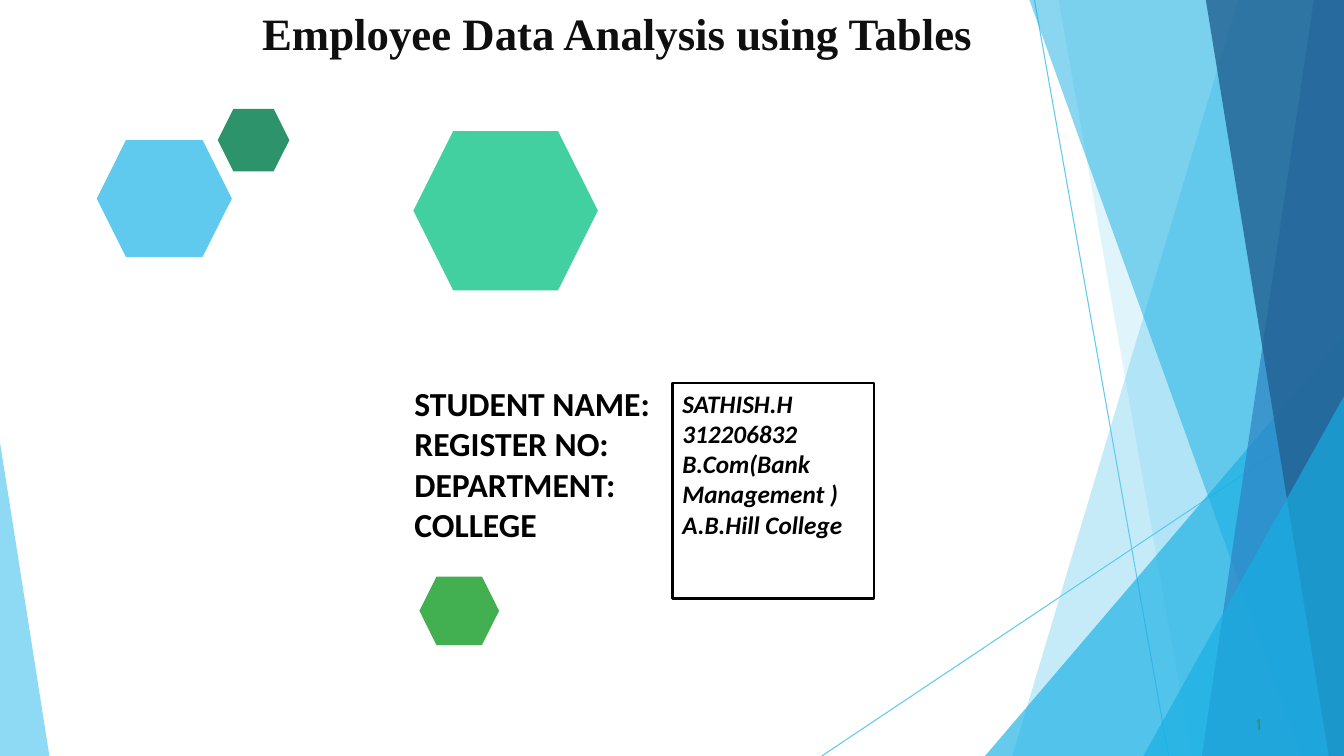
from lxml import etree
from pptx import Presentation
from pptx.dml.color import RGBColor
from pptx.enum import shapes as sh, text as tx
from pptx.oxml.ns import qn
from pptx.util import Inches, Pt

# Content
TITLE = "Employee Data Analysis using Tables"
LABELS = ["STUDENT NAME:", "REGISTER NO:", "DEPARTMENT:", "COLLEGE"]
ANSWERS = ["SATHISH.H", "312206832", "B.Com(Bank Management )", "A.B.Hill College"]
PAGE = "1"

COLORS = {
    "sky": "5FCAEE", "cyan": "17AFE3", "blue": "2D83C3", "navy": "226192",
    "teal": "2D936B", "mint": "42D0A1", "green": "42AF51",
    "ink": "0F0F0F", "black": "000000", "white": "FFFFFF",
}
W, H = 13.33, 7.5

# Thin lines: start, end
LINES = [((10.26, 0), (11.59, H)), ((W, 4.04), (8.15, H))]

# Facets: colour, opacity in percent, corners
FACETS = [
    ("sky", 36, [(W, 0), (12.28, 0), (10.04, H), (W, H)]),
    ("sky", 20, [(W, 0), (10.5, 0), (11.82, H), (W, H)]),
    ("cyan", 66, [(W, 3.33), (9.77, H), (W, H)]),
    ("cyan", 50, [(W, 0), (10.21, 0), (12.91, H), (W, H)]),
    ("blue", 70, [(W, 0), (13.03, 0), (11.92, H), (W, H)]),
    ("navy", 80, [(W, 0), (11.96, 0), (13.18, H), (W, H)]),
    ("cyan", 66, [(W, 3.93), (11.34, H), (W, H)]),
    ("sky", 70, [(0, 4.39), (0, H), (0.49, H)]),
]

# Hexagons: colour, left, top, width, height
HEXES = [
    ("sky", 0.96, 1.39, 1.34, 1.16),
    ("teal", 2.16, 1.08, 0.71, 0.62),
    ("mint", 4.1, 1.3, 1.83, 1.58),
    ("green", 4.16, 5.72, 0.79, 0.68),
]


def rgb(name):
    return RGBColor.from_string(COLORS[name])


def paint(shape, color, alpha=100):
    shape.shadow.inherit = False
    shape.fill.solid()
    shape.fill.fore_color.rgb = rgb(color)
    shape.line.fill.background()
    if alpha < 100:
        clr = shape.fill._xPr.find(qn("a:solidFill"))[0]
        etree.SubElement(clr, qn("a:alpha"), val=str(alpha * 1000))


def place(shape, *box):
    shape.left, shape.top, shape.width, shape.height = map(Inches, box)


def write(shape, rows, font, size, color, bold=False, italic=False, inset=(0.1, 0.05)):
    frame = shape.text_frame
    frame.text = "\n".join(rows)
    frame.word_wrap = True
    frame.auto_size = tx.MSO_AUTO_SIZE.NONE
    frame.vertical_anchor = tx.MSO_ANCHOR.TOP
    frame.margin_left = frame.margin_right = Inches(inset[0])
    frame.margin_top = frame.margin_bottom = Inches(inset[1])
    for para in frame.paragraphs:
        para.alignment = tx.PP_ALIGN.LEFT
        para.space_before = Pt(0)
        face = para.font
        face.name, face.size = font, Pt(size)
        face.bold, face.italic = bold, italic
        face.color.rgb = rgb(color)


deck = Presentation()
deck.slide_width, deck.slide_height = Inches(W), Inches(H)
slide = deck.slides.add_slide(deck.slide_layouts[1])
parts = slide.shapes

# Background lines and facets
for start, end in LINES:
    line = parts.add_connector(sh.MSO_CONNECTOR.STRAIGHT, *map(Inches, start + end))
    line.line.color.rgb = rgb("sky")
    line.line.width = Pt(0.75)
    etree.SubElement(line._element.spPr, qn("a:effectLst"))

for color, alpha, corners in FACETS:
    first, *rest = [(Inches(x), Inches(y)) for x, y in corners]
    pen = parts.build_freeform(*first)
    pen.add_line_segments(rest, close=True)
    paint(pen.convert_to_shape(), color, alpha)

# Hexagons
for color, *box in HEXES:
    hexa = parts.add_shape(sh.MSO_SHAPE.HEXAGON, *map(Inches, box))
    hexa.adjustments[0] = 0.25
    paint(hexa, color)

# Title
title = parts.title
place(title, 2.6, 0.04, 7.4, 0.8)
write(title, [TITLE], "Times New Roman", 32, "ink", bold=True, inset=(0, 0.02))

# Labels, without bullets
body = slide.placeholders[1]
place(body, 4.01, 3.75, 2.66, 2.04)
write(body, LABELS, "Calibri", 24, "black", bold=True)
for para in body.text_frame.paragraphs:
    props = para._p.get_or_add_pPr()
    props.set("marL", "0")
    props.set("indent", "0")
    props.find(qn("a:spcBef")).addnext(etree.Element(qn("a:buNone")))

# Answers
card = parts.add_shape(sh.MSO_SHAPE.RECTANGLE, *map(Inches, (6.67, 3.8, 2, 2.14)))
paint(card, "white")
card.line.color.rgb = rgb("black")
card.line.width = Pt(2)
write(card, ANSWERS, "Calibri", 18, "black", bold=True, italic=True)

# Page number
page = parts.add_textbox(*map(Inches, (12.46, 7.08, 0.17, 0.21)))
write(page, [PAGE], "Cabin", 11, "teal", inset=(0, 0.01))

deck.save("out.pptx")
